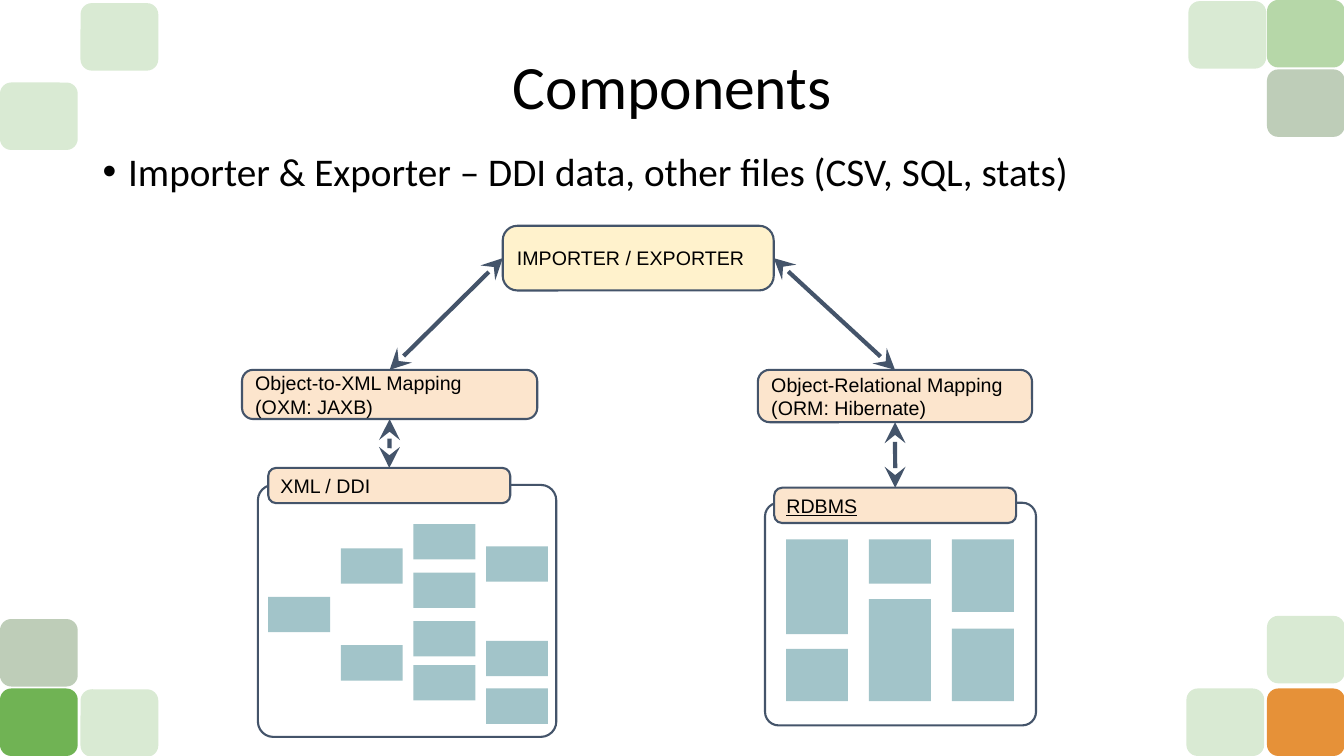
from lxml import etree
from pptx import Presentation
from pptx.dml.color import RGBColor
from pptx.enum import shapes, text
from pptx.oxml import ns
from pptx.util import Cm, Pt

INK, PEACH, CREAM, TEAL, WHITE = "44546A", "FCE5CD", "FFF2CC", "A2C4C9", "FFFFFF"
PALE, GREY, LEAF, GREEN, ORANGE = "D9EAD3", "BECDB8", "B6D7A8", "70B354", "E69138"
TOP, LEFT, BOTTOM, RIGHT = range(4)  # connection sites of a box

# Corner tiles: left, top, colour
TILES = [
    (31.93, 17.35, ORANGE), (31.93, 15.52, PALE), (29.9, 17.35, PALE),
    (0, 2.08, PALE), (2.03, 0.08, PALE), (29.95, 0.03, PALE),
    (0, 17.35, GREEN), (2.03, 17.37, PALE), (31.93, 1.75, GREY),
    (0, 15.6, GREY), (31.93, 0, LEAF),
]
# Tops of the XML nodes, one list per tree level
NODE_TOPS = [
    [15.04],
    [13.82, 16.26],
    [13.21, 14.43, 15.65, 16.76],
    [13.77, 16.15, 17.35],
]
# Heights of the upper and lower database table in each column
TABLE_HEIGHTS = [(2.39, 1.32), (1.12, 2.57), (1.83, 1.83)]


def colour(value):
    return RGBColor.from_string(value)


def set_format(target, values):
    for name, value in values.items():
        setattr(target, name, value)


def write_paragraph(para, words, size, font="Arial", underline=None):
    span = para.add_run()
    span.text = words
    set_format(span.font, {"name": font, "size": Pt(size), "underline": underline})
    span.font.color.rgb = colour("000000")


def add_block(page, left, top, width, height, fill, corner=None, outline=None):
    kind = shapes.MSO_SHAPE.RECTANGLE if corner is None else shapes.MSO_SHAPE.ROUNDED_RECTANGLE
    box = page.shapes.add_shape(kind, Cm(left), Cm(top), Cm(width), Cm(height))
    box.shadow.inherit = False
    box.fill.solid()
    box.fill.fore_color.rgb = colour(fill)
    if corner is not None:
        box.adjustments[0] = corner
    if outline:
        box.line.color.rgb = colour(outline)
        box.line.width = Pt(1.5)
    else:
        box.line.fill.background()
    return box


def add_label(page, left, top, width, height, lines, fill=PEACH, underline=None):
    box = add_block(page, left, top, width, height, fill, 0.226, INK)
    frame = box.text_frame
    set_format(frame, {"word_wrap": True, "vertical_anchor": text.MSO_ANCHOR.MIDDLE})
    sides = ("margin_left", "margin_top", "margin_right", "margin_bottom")
    set_format(frame, dict.fromkeys(sides, Cm(0.25)))
    for number, words in enumerate(lines):
        para = frame.add_paragraph() if number else frame.paragraphs[0]
        para.alignment = text.PP_ALIGN.LEFT
        write_paragraph(para, words, 14, underline=underline)
    return box


def add_arrow(page, start, start_site, end, end_site):
    arrow = page.shapes.add_connector(shapes.MSO_CONNECTOR.STRAIGHT, 0, 0, 0, 0)
    arrow.begin_connect(start, start_site)
    arrow.end_connect(end, end_site)
    arrow.line.color.rgb = colour(INK)
    arrow.line.width = Pt(3)
    properties = arrow._element.spPr
    line = properties.find(ns.qn("a:ln"))
    for tag in ("a:headEnd", "a:tailEnd"):
        etree.SubElement(line, ns.qn(tag), type="stealth", w="lg", len="lg")
    etree.SubElement(properties, ns.qn("a:effectLst"))


def add_heading(page, words):
    title = page.shapes.title
    set_format(title, {"left": Cm(2.34), "top": Cm(1.02), "width": Cm(29.21), "height": Cm(2.46)})
    title.text_frame.vertical_anchor = text.MSO_ANCHOR.MIDDLE
    para = title.text_frame.paragraphs[0]
    set_format(para, {"alignment": text.PP_ALIGN.CENTER, "line_spacing": 0.9})
    write_paragraph(para, words, 44, "Calibri")


def add_bullet(page, words):
    box = page.shapes.add_textbox(Cm(2.34), Cm(3.71), Cm(29.21), Cm(13.44))
    box.text_frame.word_wrap = True
    para = box.text_frame.paragraphs[0]
    para.line_spacing = 0.9
    properties = para._p.get_or_add_pPr()
    properties.set("marL", str(Cm(0.64)))
    properties.set("indent", str(-Cm(0.64)))
    etree.SubElement(properties, ns.qn("a:buFont"), typeface="Arial")
    etree.SubElement(properties, ns.qn("a:buChar"), char="•")
    write_paragraph(para, words, 28, "Calibri")


def add_database(page):
    add_block(page, 19.28, 12.67, 6.83, 5.61, WHITE, 0.061, INK)
    for column, (upper, lower) in enumerate(TABLE_HEIGHTS):
        left = 19.81 + 2.09 * column
        add_block(page, left, 13.59, 1.56, upper, TEAL)
        add_block(page, left, 17.67 - lower, 1.56, lower, TEAL)
    return add_label(page, 19.51, 12.29, 6.1, 0.89, ["RDBMS"], underline=True)


def add_xml_tree(page):
    add_block(page, 6.5, 12.22, 7.52, 6.35, WHITE, 0.061, INK)
    for level, tops in enumerate(NODE_TOPS):
        for top in tops:
            add_block(page, 6.76 + 1.83 * level, top, 1.56, 0.89, TEAL)
    return add_label(page, 6.76, 11.79, 6.1, 0.89, ["XML / DDI"])


def main():
    deck = Presentation()
    set_format(deck, {"slide_width": Cm(33.87), "slide_height": Cm(19.05)})
    page = deck.slides.add_slide(deck.slide_layouts[5])

    # Corner decoration and text
    for left, top, fill in TILES:
        add_block(page, left, top, 1.96, 1.7, fill, 0.167)
    add_heading(page, "Components")
    add_bullet(page, "Importer & Exporter – DDI data, other files (CSV, SQL, stats)")

    # Storage and mapping boxes
    database = add_database(page)
    relational = add_label(page, 19.1, 9.32, 6.91, 1.32,
                           ["Object-Relational Mapping", "(ORM: Hibernate)"])
    xml_tree = add_xml_tree(page)
    xml_mapping = add_label(page, 6.1, 9.32, 7.44, 1.24,
                            ["Object-to-XML Mapping", "(OXM: JAXB)"])
    importer = add_label(page, 12.67, 5.69, 6.83, 1.63, ["IMPORTER / EXPORTER"], CREAM)

    # Two-way arrows
    add_arrow(page, xml_tree, TOP, xml_mapping, BOTTOM)
    add_arrow(page, database, TOP, relational, BOTTOM)
    add_arrow(page, xml_mapping, TOP, importer, LEFT)
    add_arrow(page, relational, TOP, importer, RIGHT)

    deck.save("out.pptx")


if __name__ == "__main__":
    main()
